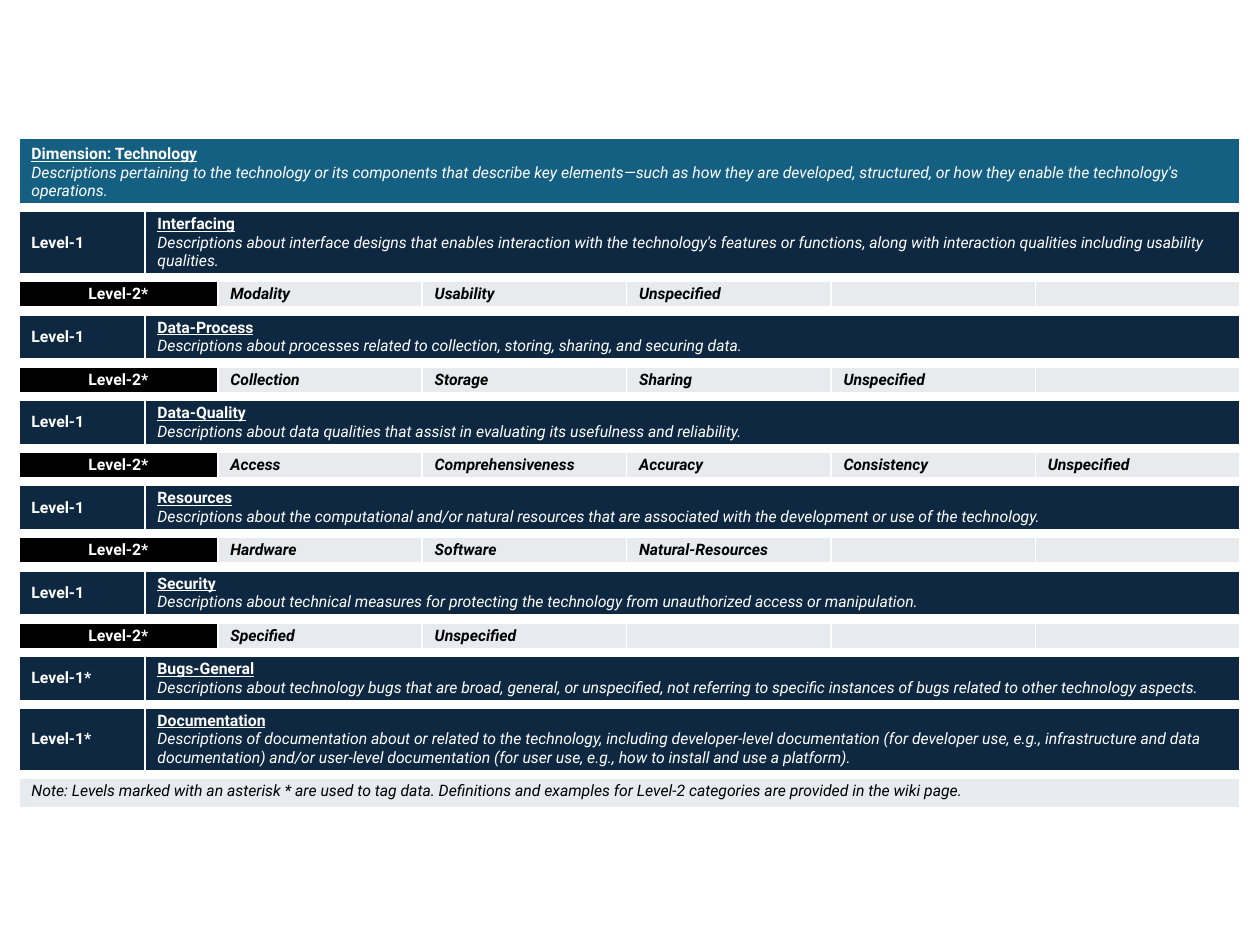
from dataclasses import dataclass

from lxml.etree import SubElement
from pptx import Presentation
from pptx.dml.color import RGBColor
from pptx.enum.text import MSO_ANCHOR, PP_ALIGN
from pptx.oxml.ns import qn
from pptx.util import Cm, Pt


@dataclass(frozen=True)
class Theme:
    """Colours, type and border widths of the slide."""
    font: str = "Roboto"
    size: int = 9
    white: str = "FFFFFF"
    black: str = "000000"
    teal: str = "156082"
    navy: str = "0E2841"
    grey: str = "E8EAED"
    pale: str = "E7EAEE"
    thin: int = 1
    thick: int = 6


THEME = Theme()
LABEL = {"bold": True}
HEADING = {"bold": True, "underline": True}
DESCRIPTION = {"italic": True}
CATEGORY = {"bold": True, "italic": True}

COLUMNS = [2.54, 1.47] + [4.12] * 5
TALL, MEDIUM, SHORT = 1.41, 1.05, 0.67
BOX = (0.38, 2.78, sum(COLUMNS))

DIMENSION = (
    "Dimension: Technology",
    "Descriptions pertaining to the technology or its components that describe key elements—such as "
    "how they are developed, structured, or how they enable the technology's operations.",
)
LEVELS = [
    ("Level-1", TALL, "Interfacing",
     "Descriptions about interface designs that enables interaction with the technology's features or "
     "functions, along with interaction qualities including usability qualities.",
     ["Modality", "Usability", "Unspecified"], THEME.grey),
    ("Level-1", MEDIUM, "Data-Process",
     "Descriptions about processes related to collection, storing, sharing, and securing data.",
     ["Collection", "Storage", "Sharing", "Unspecified"], THEME.grey),
    ("Level-1", MEDIUM, "Data-Quality",
     "Descriptions about data qualities that assist in evaluating its usefulness and reliability.",
     ["Access", "Comprehensiveness", "Accuracy", "Consistency", "Unspecified"], THEME.grey),
    ("Level-1", MEDIUM, "Resources",
     "Descriptions about the computational and/or natural resources that are associated with the "
     "development or use of the technology.",
     ["Hardware", "Software", "Natural-Resources"], THEME.grey),
    ("Level-1", MEDIUM, "Security",
     "Descriptions about technical measures for protecting the technology from unauthorized access or "
     "manipulation.",
     ["Specified", "Unspecified"], THEME.pale),
    ("Level-1*", MEDIUM, "Bugs-General",
     "Descriptions about technology bugs that are broad, general, or unspecified, not referring to "
     "specific instances of bugs related to other technology aspects.", [], THEME.pale),
    ("Level-1*", TALL, "Documentation",
     "Descriptions of documentation about or related to the technology, including developer-level "
     "documentation (for developer use, e.g., infrastructure and data documentation) and/or user-level "
     "documentation (for user use, e.g., how to install and use a platform).", [], THEME.pale),
]
NOTE = ("Note: Levels marked with an asterisk * are used to tag data. "
        "Definitions and examples for Level-2 categories are provided in the wiki page.")


def set_borders(cell, top, bottom):
    """Give a cell white borders, thin at the sides."""
    properties = cell._tc.get_or_add_tcPr()
    widths = {"lnL": THEME.thin, "lnR": THEME.thin, "lnT": top, "lnB": bottom}
    for tag, width in widths.items():
        line = SubElement(properties, qn(f"a:{tag}"), w=str(Pt(width)))
        fill = SubElement(line, qn("a:solidFill"))
        SubElement(fill, qn("a:srgbClr"), val=THEME.white)


def write_cell(cell, lines, color, alignment=PP_ALIGN.LEFT):
    """Write one paragraph for each pair of text and format."""
    cell.vertical_anchor = MSO_ANCHOR.MIDDLE
    for number, (text, style) in enumerate(lines):
        frame = cell.text_frame
        paragraph = frame.add_paragraph() if number else frame.paragraphs[0]
        paragraph.alignment = alignment
        run = paragraph.add_run()
        run.text = text
        run.font.color.rgb = RGBColor.from_string(color)
        values = {"name": THEME.font, "size": Pt(THEME.size), "bold": False, "italic": False, **style}
        for name, value in values.items():
            setattr(run.font, name, value)


def fill_cells(cells, color):
    """Fill a group of neighbouring cells with one colour."""
    for cell in cells:
        cell.fill.solid()
        cell.fill.fore_color.rgb = RGBColor.from_string(color)


def merge_cells(cells, color):
    """Fill a group of cells, join them and return the first."""
    fill_cells(cells, color)
    cells[0].merge(cells[-1])
    return cells[0]


def dimension_row(cells):
    """Write the title band."""
    heading, description = DIMENSION
    write_cell(merge_cells(cells, THEME.teal),
               [(heading, HEADING), (description, DESCRIPTION)], THEME.white)


def level_one_row(cells, label, heading, description):
    """Write a level-1 label beside its heading and description."""
    fill_cells(cells[:1], THEME.navy)
    write_cell(cells[0], [(label, LABEL)], THEME.white)
    write_cell(merge_cells(cells[1:], THEME.navy),
               [(heading, HEADING), (description, DESCRIPTION)], THEME.white)


def level_two_row(cells, categories, color):
    """Write a level-2 label followed by its categories."""
    write_cell(merge_cells(cells[:2], THEME.black), [("Level-2*", LABEL)], THEME.white, PP_ALIGN.CENTER)
    fill_cells(cells[2:], color)
    for cell, category in zip(cells[2:], categories):
        write_cell(cell, [(category, CATEGORY)], THEME.black)
    for cell in cells[2 + len(categories):]:
        paragraph = cell.text_frame.paragraphs[0]
        SubElement(paragraph._p, qn("a:endParaRPr"), sz=str(THEME.size * 100))


def note_row(cells):
    """Write the closing note."""
    write_cell(merge_cells(cells, THEME.pale), [(NOTE, CATEGORY | {"bold": False})], THEME.black)


def plan_rows():
    """List the height, writer and arguments of every row."""
    rows = [(TALL, dimension_row, ())]
    for label, height, heading, description, categories, color in LEVELS:
        rows.append((height, level_one_row, (label, heading, description)))
        if categories:
            rows.append((SHORT, level_two_row, (categories, color)))
    return rows + [(SHORT, note_row, ())]


def add_taxonomy_table(slide, left, top, width):
    """Add the table of dimension, levels and note inside the given box."""
    rows = plan_rows()
    height = sum(row[0] for row in rows)
    table = slide.shapes.add_table(len(rows), len(COLUMNS), Cm(left), Cm(top), Cm(width), Cm(height)).table
    table.first_row = table.horz_banding = False
    for column, column_width in zip(table.columns, COLUMNS):
        column.width = Cm(column_width)
    last = len(rows) - 1
    for number, (row_height, write_row, arguments) in enumerate(rows):
        row = table.rows[number]
        row.height = Cm(row_height)
        cells = list(row.cells)
        for cell in cells:
            set_borders(cell, THEME.thick if number else THEME.thin,
                        THEME.thick if number < last else THEME.thin)
        write_row(cells, *arguments)


def main():
    """Build and save the slide."""
    presentation = Presentation()
    presentation.slide_width, presentation.slide_height = Cm(25.4), Cm(19.05)
    slide = presentation.slides.add_slide(presentation.slide_layouts[6])
    add_taxonomy_table(slide, *BOX)
    presentation.save("out.pptx")


if __name__ == "__main__":
    main()
